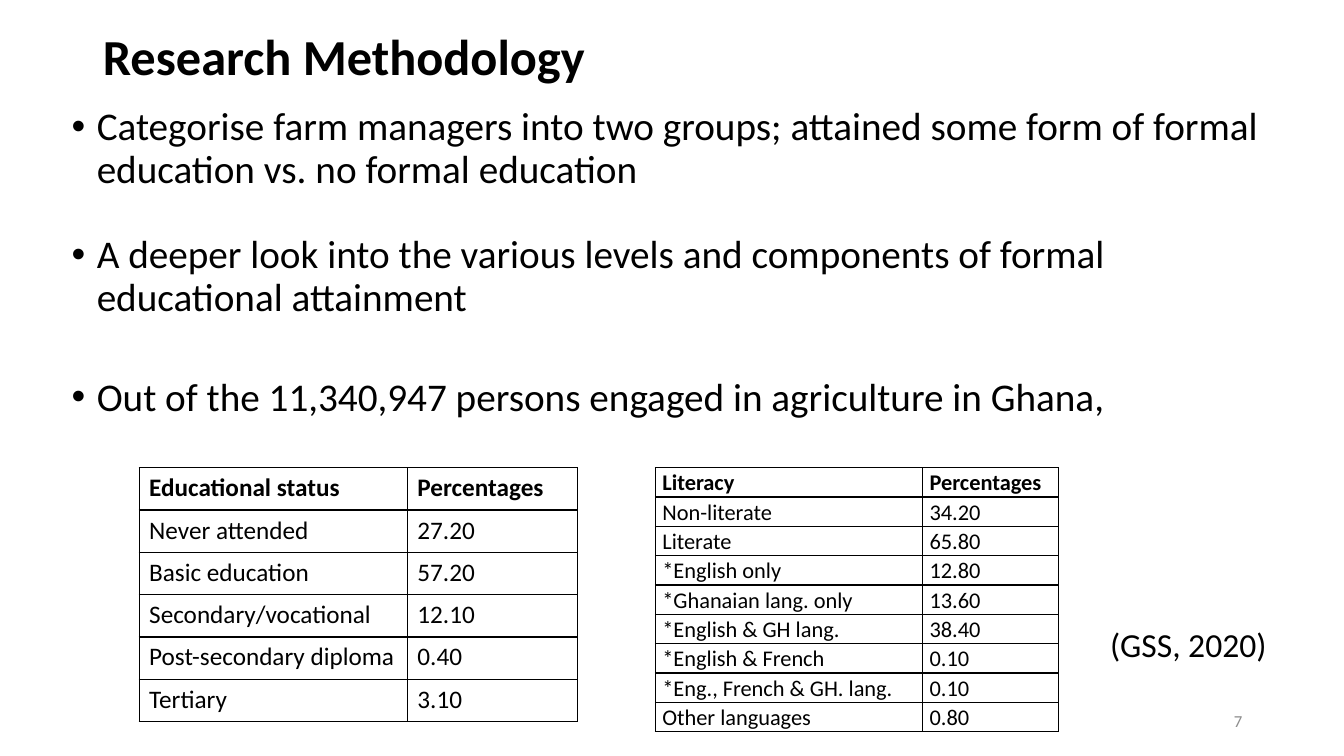
"""Build the Research Methodology slide with two survey tables."""
import dataclasses
import typing

import lxml.etree
import pptx
import pptx.dml.color
import pptx.enum.text
import pptx.oxml.ns
import pptx.util

Inches = pptx.util.Inches
Pt = pptx.util.Pt
ALIGN = pptx.enum.text.PP_ALIGN
ANCHOR = pptx.enum.text.MSO_ANCHOR
FONT = "Calibri"
COLORS = {"ink": "000000", "grey": "8C8C8C"}


@dataclasses.dataclass(frozen=True)
class Point:
    """A body paragraph."""
    text: str
    gap: float = 0
    size: float = 28
    left: float = 0.25
    mark: str = "•"


@dataclasses.dataclass(frozen=True)
class Grid:
    """A two-column table."""
    left: float
    cols: tuple[float, float]
    row: float
    size: float
    side: float
    edge: float
    lead: float
    rows: tuple[tuple[str, str], ...]


POINTS = (
    Point("Categorise farm managers into two groups; attained some form of formal "
          "education vs. no formal education"),
    Point("A deeper look into the various levels and components of formal "
          "educational attainment", 31),
    Point("Out of the 11,340,947 persons engaged in agriculture in Ghana,", 41.4),
    Point("(GSS, 2020)", 149, 24, 10.3, ""),
)
GRIDS = (
    Grid(1.38, (2.66, 1.69), 0.42, 18, 0.1, 0.05, 1.0, (
        ("Educational status", "Percentages"),
        ("Never attended", "27.20"),
        ("Basic education", "57.20"),
        ("Secondary/vocational", "12.10"),
        ("Post-secondary diploma", "0.40"),
        ("Tertiary", "3.10"),
    )),
    Grid(6.5, (2.65, 1.35), 0.27, 16, 0.07, 0, 1.07, (
        ("Literacy", "Percentages"),
        ("Non-literate", "34.20"),
        ("Literate", "65.80"),
        ("*English only", "12.80"),
        ("*Ghanaian lang. only", "13.60"),
        ("*English & GH lang.", "38.40"),
        ("*English & French", "0.10"),
        ("*Eng., French & GH. lang.", "0.10"),
        ("Other languages", "0.80"),
    )),
)


def place(shape: typing.Any, left: float, top: float, width: float, height: float) -> None:
    """Move and size a shape."""
    shape.left, shape.top = Inches(left), Inches(top)
    shape.width, shape.height = Inches(width), Inches(height)


def write(para: typing.Any, text: str, size: float, bold: bool = False,
          color: str = "ink") -> None:
    """Add one formatted run."""
    run = para.add_run()
    run.text = text
    run.font.name, run.font.size, run.font.bold = FONT, Pt(size), bold
    run.font.color.rgb = pptx.dml.color.RGBColor.from_string(COLORS[color])


def child(parent: typing.Any, tag: str, **attrs: str) -> typing.Any:
    """Append a drawing element."""
    return lxml.etree.SubElement(parent, pptx.oxml.ns.qn(tag), attrs)


def list_points(shape: typing.Any) -> None:
    """Fill the body with its points."""
    frame = shape.text_frame
    frame.auto_size = pptx.enum.text.MSO_AUTO_SIZE.NONE
    for i, point in enumerate(POINTS):
        para = frame.paragraphs[0] if i == 0 else frame.add_paragraph()
        para.line_spacing, para.space_before = 0.9, Pt(point.gap)
        props = para._p.get_or_add_pPr()
        props.set("marL", str(Inches(point.left)))
        props.set("indent", str(Inches(-0.25 if point.mark else 0)))
        if point.mark:
            child(props, "a:buFont", typeface="Arial")
            child(props, "a:buChar", char=point.mark)
        else:
            child(props, "a:buNone")
        write(para, point.text, point.size)


def frame_cell(cell: typing.Any) -> None:
    """Draw four thin borders and clear the fill."""
    props = cell._tc.get_or_add_tcPr()
    for tag in ("a:lnL", "a:lnR", "a:lnT", "a:lnB"):
        line = child(props, tag, w=str(Pt(1)))
        child(child(line, "a:solidFill"), "a:srgbClr", val=COLORS["ink"])
    cell.fill.background()


def draw_grid(slide: typing.Any, grid: Grid) -> None:
    """Draw a table with a bold top row."""
    count = len(grid.rows)
    table = slide.shapes.add_table(
        count, len(grid.cols), Inches(grid.left), Inches(4.64),
        Inches(sum(grid.cols)), Inches(grid.row * count)).table
    table.first_row = table.horz_banding = False
    for col, width in zip(table.columns, grid.cols):
        col.width = Inches(width)
    for r, texts in enumerate(grid.rows):
        table.rows[r].height = Inches(grid.row)
        for c, text in enumerate(texts):
            cell = table.cell(r, c)
            cell.margin_left = cell.margin_right = Inches(grid.side)
            cell.margin_top = cell.margin_bottom = Inches(grid.edge)
            para = cell.text_frame.paragraphs[0]
            para.line_spacing = grid.lead
            write(para, text, grid.size, bold=r == 0)
            frame_cell(cell)


def main() -> None:
    """Build and save the slide."""
    deck = pptx.Presentation()
    deck.slide_width, deck.slide_height = Inches(13.33), Inches(7.5)
    slide = deck.slides.add_slide(deck.slide_layouts[1])
    title, body = slide.placeholders
    place(title, 0.92, 0.32, 11.5, 0.53)
    title.text_frame.auto_size = pptx.enum.text.MSO_AUTO_SIZE.NONE
    title.text_frame.vertical_anchor = ANCHOR.MIDDLE
    head = title.text_frame.paragraphs[0]
    head.alignment, head.line_spacing = ALIGN.LEFT, 0.9
    write(head, "Research Methodology", 36, bold=True)
    place(body, 0.61, 1.01, 12.18, 6.09)
    list_points(body)
    for grid in GRIDS:
        draw_grid(slide, grid)
    box = slide.shapes.add_textbox(Inches(9.42), Inches(6.95), Inches(3), Inches(0.4))
    box.text_frame.word_wrap = True
    box.text_frame.vertical_anchor = ANCHOR.MIDDLE
    page = box.text_frame.paragraphs[0]
    page.alignment = ALIGN.RIGHT
    write(page, "7", 12, color="grey")
    deck.save("out.pptx")


if __name__ == "__main__":
    main()
